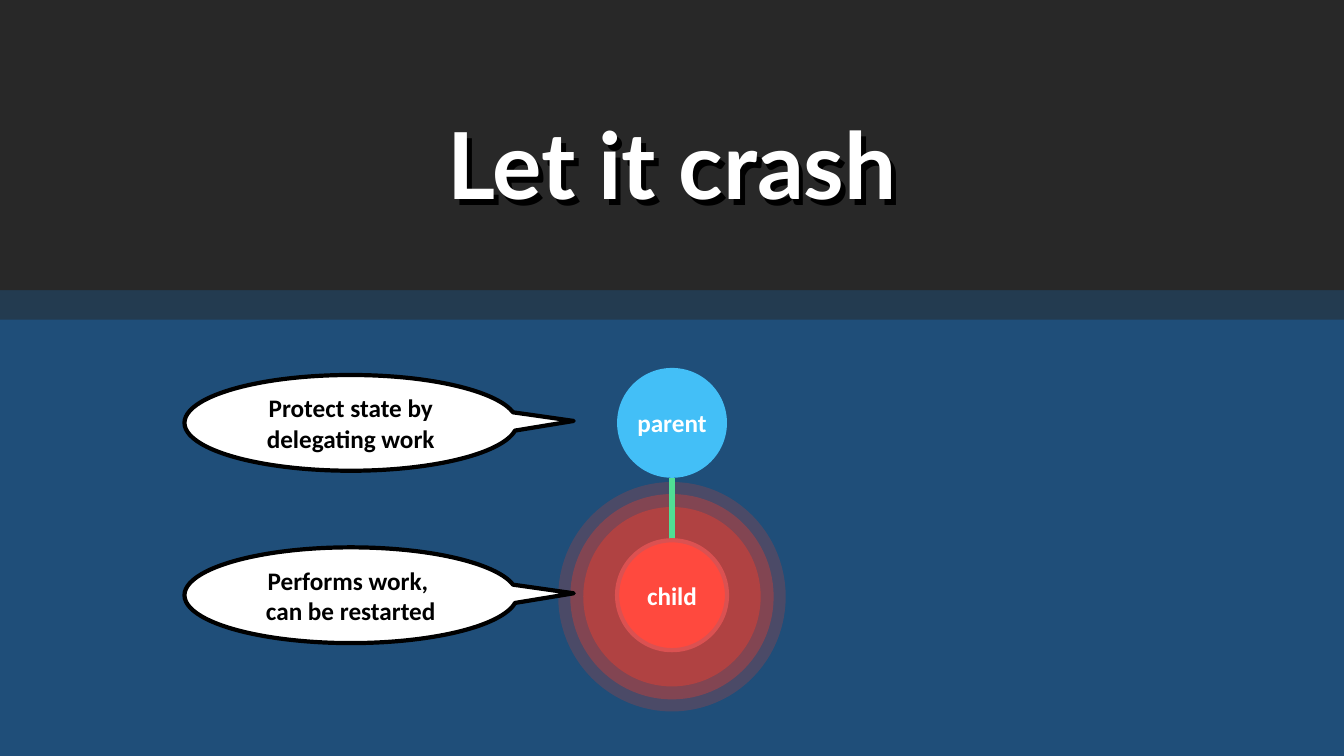
from lxml import etree
from pptx import Presentation
from pptx.dml.color import RGBColor
from pptx.enum import shapes, text
from pptx.oxml.ns import qn
from pptx.util import Inches, Pt

NAVY = RGBColor(0x1F, 0x4E, 0x79)
SLATE = RGBColor(0x23, 0x3B, 0x50)
CHARCOAL = RGBColor(0x28, 0x28, 0x28)
WHITE = RGBColor(0xFF, 0xFF, 0xFF)
BLACK = RGBColor(0x00, 0x00, 0x00)
BLUE = RGBColor(0x43, 0xBF, 0xF7)
RED = RGBColor(0xFF, 0x49, 0x3E)
ROSE = RGBColor(0xDB, 0x51, 0x51)
HALO = RGBColor(0xB0, 0x42, 0x42)
GREEN = RGBColor(0x50, 0xDE, 0x94)
MSO = shapes.MSO_SHAPE
WIDTH, HEIGHT = 13.33, 7.5


def add_box(parent, kind, box, fill=None, line=None, width=0, alpha=100):
    """Add a preset shape; alpha is the opacity of its line in percent."""
    sp = parent.add_shape(kind, *map(Inches, box))
    sp.shadow.inherit = False
    if fill is None:
        sp.fill.background()
    else:
        sp.fill.solid()
        sp.fill.fore_color.rgb = fill
    if line is None:
        sp.line.fill.background()
    else:
        sp.line.color.rgb = line
        sp.line.width = Pt(width)
        if alpha < 100:
            clr = sp.line._ln.find(".//" + qn("a:srgbClr"))
            etree.SubElement(clr, qn("a:alpha"), val=str(alpha * 1000))
    return sp


def write(sp, words, size, color, font="Calibri", wrap=True):
    tf = sp.text_frame
    tf.word_wrap = wrap
    p = tf.paragraphs[0]
    p.text = words
    p.alignment = text.PP_ALIGN.CENTER
    for r in p.runs:
        r.font.size = Pt(size)
        r.font.name = font
        r.font.bold = True
        r.font.color.rgb = color
    return tf


def add_header(slide, x, y, w, h):
    # Title band with a narrow strip below it
    add_box(slide.shapes, MSO.RECTANGLE, (x, y + h, w, 0.29), SLATE)
    add_box(slide.shapes, MSO.RECTANGLE, (x, y, w, h), CHARCOAL)

    # Title with a hard drop shadow
    sp = slide.shapes.add_textbox(*map(Inches, (x, y + 1.01, w, 1.21)))
    tf = write(sp, "Let it crash", 66, WHITE, "Lato")
    tf.auto_size = text.MSO_AUTO_SIZE.SHAPE_TO_FIT_TEXT
    effects = etree.SubElement(sp._element.spPr, qn("a:effectLst"))
    shadow = etree.SubElement(effects, qn("a:outerShdw"), dist=str(Pt(6)),
                              dir="3240000", algn="tl", rotWithShape="0")
    etree.SubElement(shadow, qn("a:srgbClr"), val=str(BLACK))


def add_process_tree(slide, x, y, size, step):
    """Parent circle at x, y with its child one step below."""
    group = slide.shapes.add_group_shape().shapes
    middle, child_y = x + size / 2, y + step

    # Halo around the child
    halo = (middle - 0.88, child_y - 0.33, 1.76, 1.78)
    add_box(group, MSO.OVAL, halo, HALO, HALO, 18.5, 54)
    add_box(group, MSO.OVAL, halo, None, HALO, 35.75, 31)

    # Link from parent to child
    link = group.add_connector(
        shapes.MSO_CONNECTOR.STRAIGHT,
        *map(Inches, (middle, y + size, middle, child_y)))
    link.line.color.rgb = GREEN
    link.line.width = Pt(5)
    etree.SubElement(link._element.spPr, qn("a:effectLst"))

    # Process circles
    for name, top, fill, line in (("child", child_y, RED, ROSE),
                                  ("parent", y, BLUE, None)):
        sp = add_box(group, MSO.OVAL, (x, top, size, size), fill, line, 3)
        tf = write(sp, name, 18, WHITE, wrap=False)
        tf.vertical_anchor = text.MSO_ANCHOR.MIDDLE


def add_callouts(slide, x, y, w, h, step):
    notes = ("Protect state by delegating work",
             "Performs work, \vcan be restarted")
    for i, note in enumerate(notes):
        sp = add_box(slide.shapes, MSO.OVAL_CALLOUT,
                     (x, y + i * step, w, h), WHITE, BLACK, 3)
        sp.adjustments[0], sp.adjustments[1] = 0.67, -0.02
        tf = write(sp, note, 18, BLACK)
        tf.vertical_anchor = text.MSO_ANCHOR.MIDDLE


def main():
    prs = Presentation()
    prs.slide_width, prs.slide_height = Inches(WIDTH), Inches(HEIGHT)
    slide = prs.slides.add_slide(prs.slide_layouts[6])
    slide.background.fill.solid()
    slide.background.fill.fore_color.rgb = NAVY

    step = 1.71
    add_header(slide, 0, 0, WIDTH, 2.88)
    add_process_tree(slide, 6.12, 3.65, 1.09, step)
    add_callouts(slide, 1.83, 3.72, 3.3, 0.95, step)
    prs.save("out.pptx")


if __name__ == "__main__":
    main()
